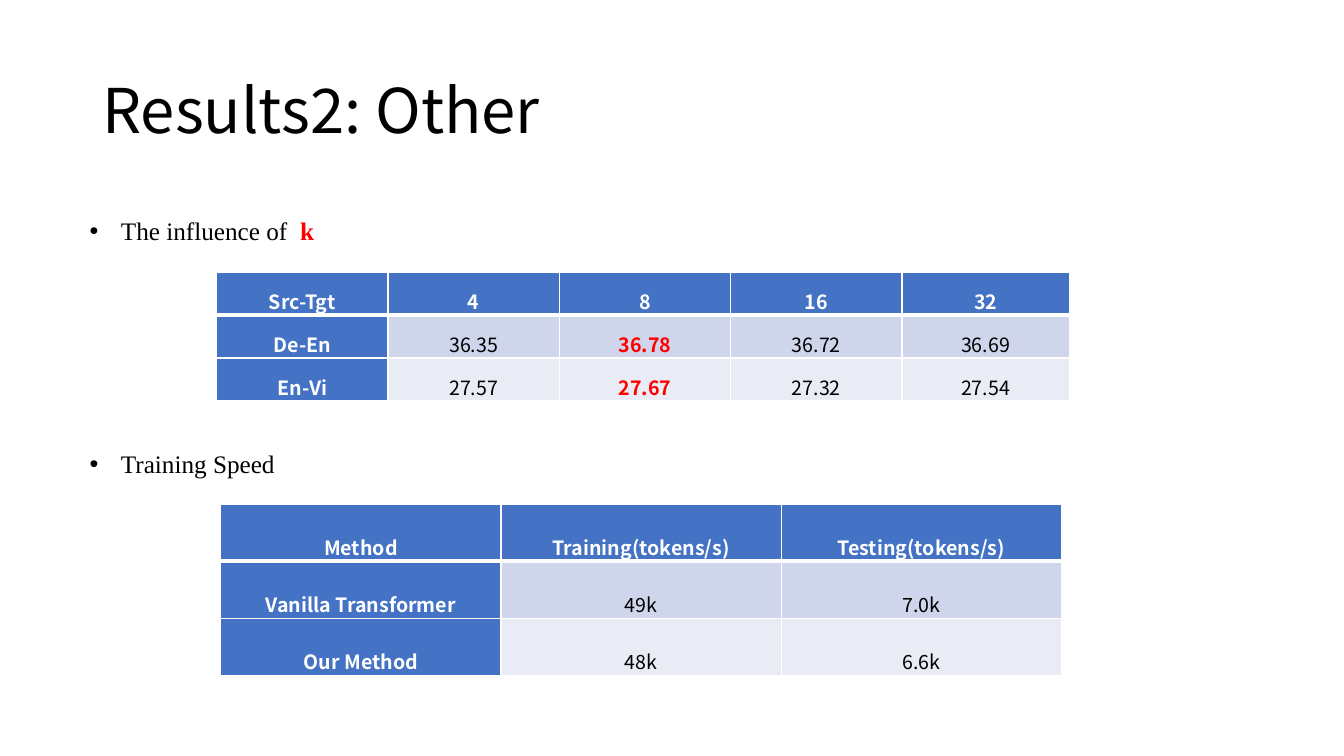
import dataclasses

import lxml.etree
import pptx
import pptx.dml.color
import pptx.enum.text
import pptx.oxml.ns
import pptx.util

Align = pptx.enum.text.PP_ALIGN
Anchor = pptx.enum.text.MSO_ANCHOR
AutoSize = pptx.enum.text.MSO_AUTO_SIZE
qn = pptx.oxml.ns.qn


@dataclasses.dataclass(frozen=True)
class Theme:
    sans: str = "Noto Sans CJK SC"
    serif: str = "Times New Roman"
    title_size: int = 44
    topic_size: int = 18
    cell_size: int = 14
    ink: str = "000000"
    paper: str = "FFFFFF"
    highlight: str = "FF0000"
    header: str = "4472C4"
    bands: tuple = ("CFD5EA", "E9EBF5")
    thin_rule: int = 1
    thick_rule: int = 3


class ResultsSlide:
    """Places elements on a grid of 32 columns by 30 rows."""

    COLUMNS, ROWS = 32, 30

    def __init__(self, deck, theme):
        self.theme = theme
        self.column = deck.slide_width / self.COLUMNS
        self.row = deck.slide_height / self.ROWS
        self.slide = deck.slides.add_slide(deck.slide_layouts[5])

    def box(self, left, top, width, height):
        return (round(left * self.column), round(top * self.row),
                round(width * self.column), round(height * self.row))

    def add_run(self, paragraph, text, font, size, color, bold=False):
        run = paragraph.add_run()
        run.text = text
        run.font.name = font
        run.font.size = pptx.util.Pt(size)
        run.font.bold = bold
        run.font.color.rgb = pptx.dml.color.RGBColor.from_string(color)

    def title(self, text, *place):
        title = self.slide.shapes.title
        title.left, title.top, title.width, title.height = self.box(*place)
        frame = title.text_frame
        frame.auto_size = AutoSize.NONE
        frame.vertical_anchor = Anchor.MIDDLE
        heading = frame.paragraphs[0]
        heading.alignment = Align.LEFT
        heading.line_spacing = 0.9
        self.add_run(heading, text, self.theme.sans, self.theme.title_size, self.theme.ink)

    def topic(self, text, *place, emphasis=None):
        """Add a bulleted line, with an optional highlighted ending."""
        frame = self.slide.shapes.add_textbox(*self.box(*place)).text_frame
        frame.word_wrap = True
        frame.auto_size = AutoSize.SHAPE_TO_FIT_TEXT
        line = frame.paragraphs[0]
        style = self.theme
        self.add_run(line, text, style.serif, style.topic_size, style.ink)
        if emphasis:
            self.add_run(line, emphasis, style.serif, style.topic_size,
                         style.highlight, bold=True)
        properties = line._p.get_or_add_pPr()
        indent = pptx.util.Inches(0.31)
        properties.set("marL", str(indent))
        properties.set("indent", str(-indent))
        lxml.etree.SubElement(properties, qn("a:buFont"), typeface="Arial")
        lxml.etree.SubElement(properties, qn("a:buChar"), char="•")

    def rule(self, cell, side, points):
        edge = lxml.etree.SubElement(cell._tc.get_or_add_tcPr(), qn(f"a:ln{side}"),
                                     w=str(pptx.util.Pt(points)))
        fill = lxml.etree.SubElement(edge, qn("a:solidFill"))
        lxml.etree.SubElement(fill, qn("a:srgbClr"), val=self.theme.paper)

    def cell(self, cell, text, row, column, spacing, best):
        style = self.theme
        is_label = row == 0 or column == 0
        is_best = not is_label and column == best
        color = style.paper if is_label else style.highlight if is_best else style.ink
        fill = style.header if is_label else style.bands[(row - 1) % 2]

        cell.margin_left = cell.margin_right = pptx.util.Inches(0.07)
        cell.margin_top = cell.margin_bottom = 0
        for side in "LRTB":
            under_header = (row, side) in ((0, "B"), (1, "T"))
            self.rule(cell, side, style.thick_rule if under_header else style.thin_rule)
        cell.fill.solid()
        cell.fill.fore_color.rgb = pptx.dml.color.RGBColor.from_string(fill)
        paragraph = cell.text_frame.paragraphs[0]
        paragraph.alignment = Align.CENTER
        paragraph.line_spacing = spacing
        self.add_run(paragraph, text, style.sans, style.cell_size, color,
                     bold=is_label or is_best)

    def table(self, records, left, top, widths, row_height, spacing, best=None):
        """Add a table; best is the index of the column to highlight."""
        place = self.box(left, top, sum(widths), row_height * len(records))
        table = self.slide.shapes.add_table(len(records), len(widths), *place).table
        table.first_col = True
        for column, width in zip(table.columns, widths):
            column.width = round(width * self.column)
        for r, record in enumerate(records):
            table.rows[r].height = round(row_height * self.row)
            for c, text in enumerate(record):
                self.cell(table.cell(r, c), text, r, c, spacing, best)


K_SCORES = (
    ("Src-Tgt", "4", "8", "16", "32"),
    ("De-En", "36.35", "36.78", "36.72", "36.69"),
    ("En-Vi", "27.57", "27.67", "27.32", "27.54"),
)
SPEEDS = (
    ("Method", "Training(tokens/s)", "Testing(tokens/s)"),
    ("Vanilla Transformer", "49k", "7.0k"),
    ("Our Method", "48k", "6.6k"),
)


def main():
    deck = pptx.Presentation()
    deck.slide_width = pptx.util.Inches(13.33)
    deck.slide_height = pptx.util.Inches(7.5)

    results = ResultsSlide(deck, Theme())
    results.title("Results2: Other", 2.2, 1.6, 27.6, 5.8)
    results.table(K_SCORES, 5.16, 10.8, [4.08] * 4 + [3.98], 1.4, spacing=1.5, best=2)
    results.table(SPEEDS, 5.26, 20, [6.67] * 3, 1.93, spacing=2.0)
    results.topic("The influence of  ", 1.9, 8.36, 8.4, 1.6, emphasis="k")
    results.topic("Training Speed", 1.9, 17.6, 8.4, 1.6)
    deck.save("out.pptx")


if __name__ == "__main__":
    main()
